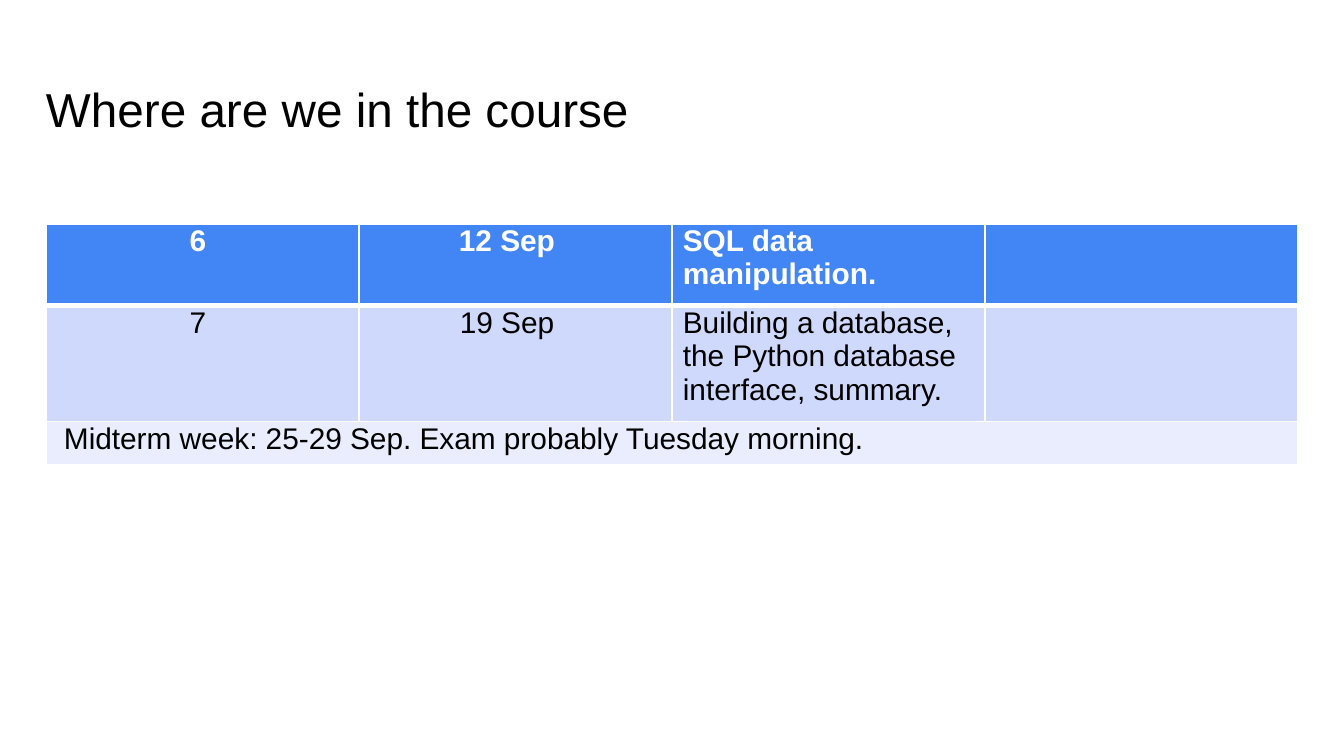
from lxml.etree import SubElement
from pptx import Presentation
from pptx.dml.color import RGBColor
from pptx.enum.text import MSO_ANCHOR, PP_ALIGN
from pptx.oxml.ns import qn
from pptx.util import Pt

EMU_PER_PX = 914400 / 134.4


def px(length):
    return round(length * EMU_PER_PX)


def write(frame, text, size=16, color="000000", bold=False, align=PP_ALIGN.LEFT):
    frame.word_wrap = True
    para = frame.paragraphs[0]
    para.alignment = align
    span = para.add_run()
    span.text = text
    span.font.name = "Arial"
    span.font.size = Pt(size)
    span.font.bold = bold
    span.font.color.rgb = RGBColor.from_string(color)


deck = Presentation()
deck.slide_width, deck.slide_height = px(1344), px(756)
page = deck.slides.add_slide(deck.slide_layouts[6])

# Title
title = page.shapes.add_textbox(px(46), px(66), px(1253), px(85))
title.text_frame.margin_left = title.text_frame.margin_right = 0
title.text_frame.margin_top = title.text_frame.margin_bottom = px(13)
title.text_frame.vertical_anchor = MSO_ANCHOR.MIDDLE
write(title.text_frame, "Where are we in the course", size=25.5)

# Schedule: row height, fill, text colour, bold, cell texts
rows = [
    (82, "4285F4", "FFFFFF", True, ["6", "12 Sep", "SQL data manipulation.", ""]),
    (108, "CFD9FB", "000000", False,
     ["7", "19 Sep", "Building a database, the Python database interface, summary.", ""]),
    (41, "E9EDFD", "000000", False,
     ["Midterm week: 25-29 Sep. Exam probably Tuesday morning.", "", "", ""]),
]
table_height = sum(row[0] for row in rows)
schedule = page.shapes.add_table(3, 4, px(46), px(224), px(1252), px(table_height)).table
for column in schedule.columns:
    column.width = px(313)

for row_index, (height, fill, color, bold, texts) in enumerate(rows):
    schedule.rows[row_index].height = px(height)
    for column_index, text in enumerate(texts):
        cell = schedule.cell(row_index, column_index)
        cell.margin_left = cell.margin_right = px(11)
        cell.margin_top, cell.margin_bottom = px(1), px(7)

        # White borders, thicker below the header; they precede the fill
        properties = cell._tc.get_or_add_tcPr()
        for side in ("L", "R", "T", "B"):
            under_header = (row_index, side) in ((0, "B"), (1, "T"))
            border = SubElement(properties, qn(f"a:ln{side}"), w=str(Pt(3 if under_header else 1)))
            paint = SubElement(border, qn("a:solidFill"))
            SubElement(paint, qn("a:srgbClr"), val="FFFFFF")
        cell.fill.solid()
        cell.fill.fore_color.rgb = RGBColor.from_string(fill)

        if text:
            centred = row_index < 2 and column_index < 2
            write(cell.text_frame, text, color=color, bold=bold,
                  align=PP_ALIGN.CENTER if centred else PP_ALIGN.LEFT)

# Number and date sit slightly left of centre
for row_index in range(2):
    schedule.cell(row_index, 0).margin_right = px(20)
    schedule.cell(row_index, 1).margin_right = px(28)

# Midterm note spans the full width
note = schedule.cell(2, 0)
note.margin_left = px(18)
note.merge(schedule.cell(2, 3))

deck.save("out.pptx")
